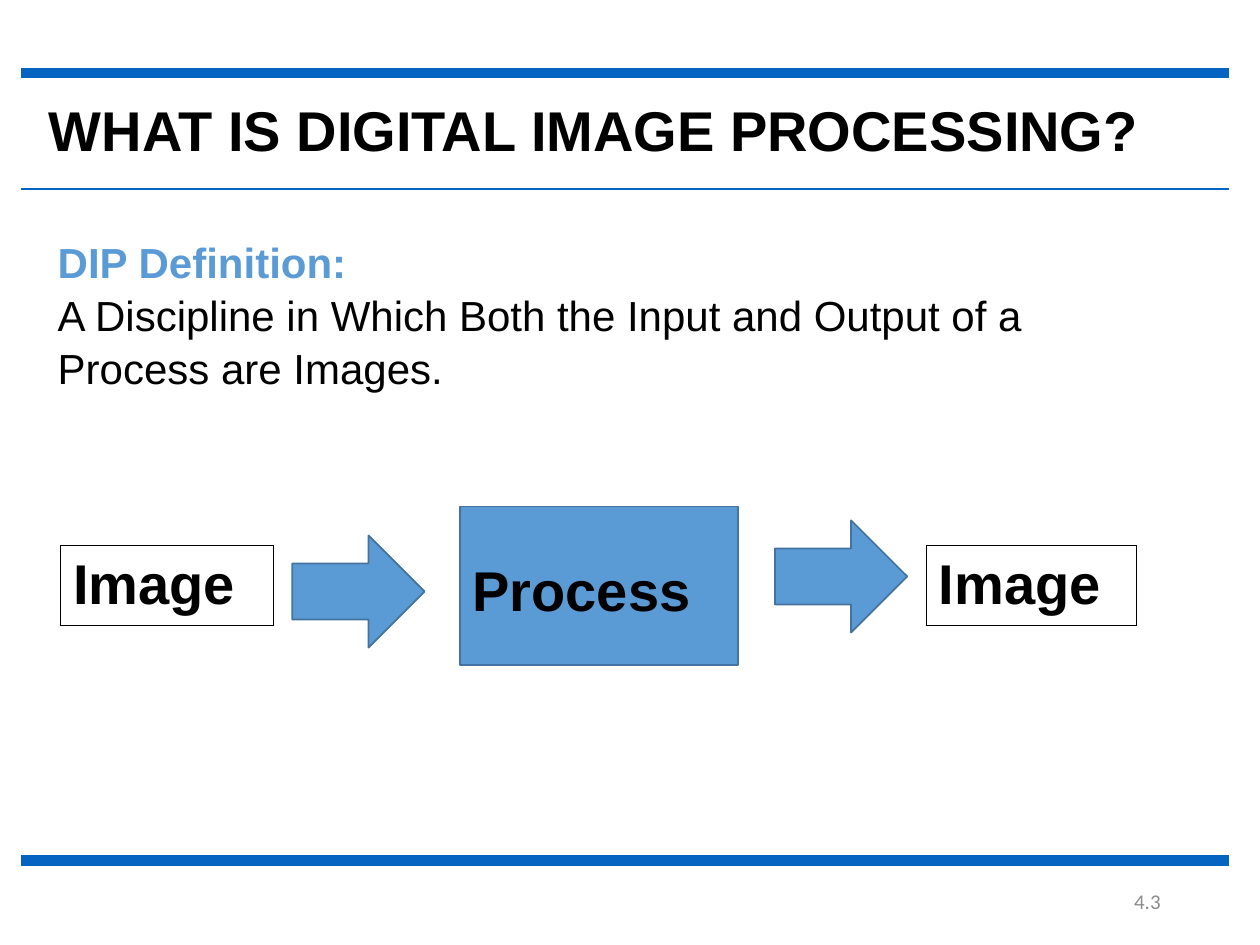
from lxml import etree
from pptx import Presentation
from pptx import util as u
from pptx.dml.color import RGBColor
from pptx.enum import shapes, text
from pptx.oxml.ns import qn

HUES = {"ink": "000000", "rule": "0563C1", "blue": "5B9BD5", "edge": "43739E", "gray": "8C8C8C"}


class Deck:
    """Holds the style and the current slide, and draws each kind of element."""

    def __init__(self, wide, high):
        self.prs = Presentation()
        self.prs.slide_width, self.prs.slide_height = u.Inches(wide), u.Inches(high)
        self.slide = self.prs.slides.add_slide(self.prs.slide_layouts[6])

    def hue(self, name):
        return RGBColor.from_string(HUES[name])

    def font(self, font, size, hue="ink", bold=False, face="Arial"):
        font.name, font.size, font.bold = face, u.Pt(size), bold
        font.color.rgb = self.hue(hue)

    def box(self, *at):
        frame = self.slide.shapes.add_textbox(*map(u.Inches, at)).text_frame
        frame.word_wrap = True
        return frame

    def line(self, y, width):
        ends = map(u.Inches, (0.17, y, 9.75, y))
        rule = self.slide.shapes.add_connector(shapes.MSO_CONNECTOR.STRAIGHT, *ends)
        rule.line.color.rgb = self.hue("rule")
        rule.line.width = u.Pt(width)
        etree.SubElement(rule._element.spPr, qn("a:effectLst"))

    def shape(self, kind, *at):
        item = self.slide.shapes.add_shape(kind, *map(u.Inches, at))
        item.shadow.inherit = False
        item.fill.solid()
        item.fill.fore_color.rgb = self.hue("blue")
        item.line.color.rgb = self.hue("edge")
        item.line.width = u.Pt(1)

    def table(self, words, at, border=None):
        grid = self.slide.shapes.add_table(1, 1, *map(u.Inches, at)).table
        grid.first_row = grid.horz_banding = False
        cell = grid.cell(0, 0)
        cell.text = words
        cell.vertical_anchor = text.MSO_ANCHOR.MIDDLE
        self.font(cell.text_frame.paragraphs[0].font, 32, bold=True)
        props = cell._tc.get_or_add_tcPr()
        for side in ("lnL", "lnR", "lnT", "lnB"):
            edge = etree.SubElement(props, qn("a:" + side), w=str(u.Pt(0.5)))
            if border:
                fill = etree.SubElement(edge, qn("a:solidFill"))
                etree.SubElement(fill, qn("a:srgbClr"), val=HUES[border])
            else:
                etree.SubElement(edge, qn("a:noFill"))
        cell.fill.background()


def main():
    deck = Deck(10, 7.5)

    page = deck.box(7.06, 6.95, 2.25, 0.4)
    page.vertical_anchor = text.MSO_ANCHOR.MIDDLE
    para = page.paragraphs[0]
    para.text = "4.3"
    para.alignment = text.PP_ALIGN.RIGHT
    deck.font(para.font, 12, "gray", face="Calibri")

    for y, width in ((0.58, 6), (1.5, 1.5), (6.83, 6)):
        deck.line(y, width)

    para = deck.box(0.29, 0.71, 11.15, 0.64).paragraphs[0]
    para.text = "WHAT IS DIGITAL IMAGE PROCESSING?"
    deck.font(para.font, 32, bold=True)

    body = deck.box(0.36, 1.76, 8.79, 1.95)
    body.margin_top = u.Inches(0.1)
    para = body.paragraphs[0]
    para.line_spacing = 1.05
    run = para.add_run()
    run.text = "DIP Definition:"
    deck.font(run.font, 24, "blue", True)
    para.add_line_break()
    run = para.add_run()
    run.text = "A Discipline in Which Both the Input and Output of a Process are Images."
    deck.font(run.font, 24)

    deck.shape(shapes.MSO_SHAPE.RECTANGLE, 3.65, 4.02, 2.21, 1.26)
    deck.table("Process", (3.65, 4.38, 2.21, 0.63))
    for x, y in ((2.32, 4.25), (6.15, 4.13)):
        deck.shape(shapes.MSO_SHAPE.RIGHT_ARROW, x, y, 1.05, 0.89)
    for x, wide in ((0.48, 1.69), (7.35, 1.67)):
        deck.table("Image", (x, 4.33, wide, 0.63), "ink")

    deck.prs.save("out.pptx")


if __name__ == "__main__":
    main()
